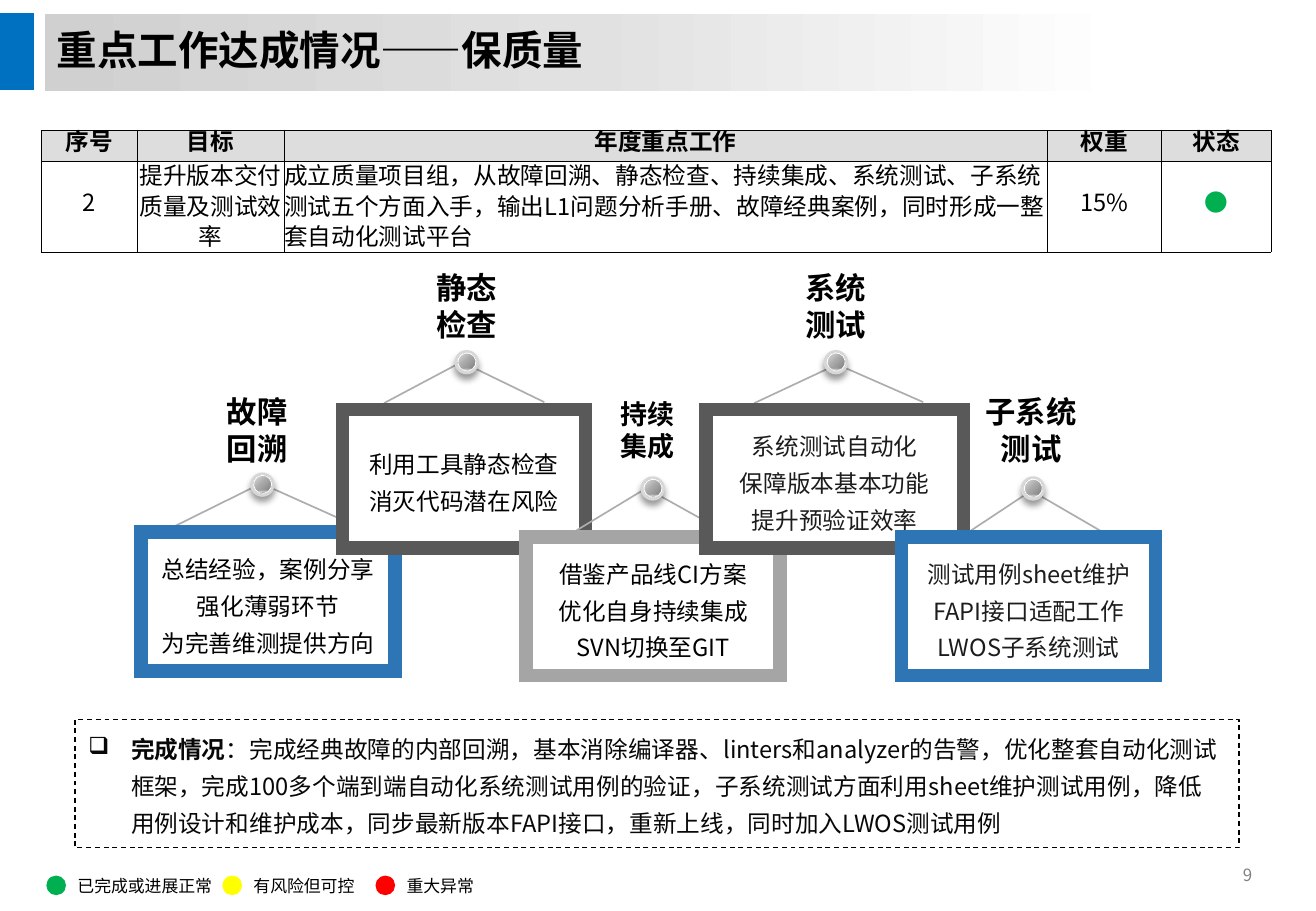
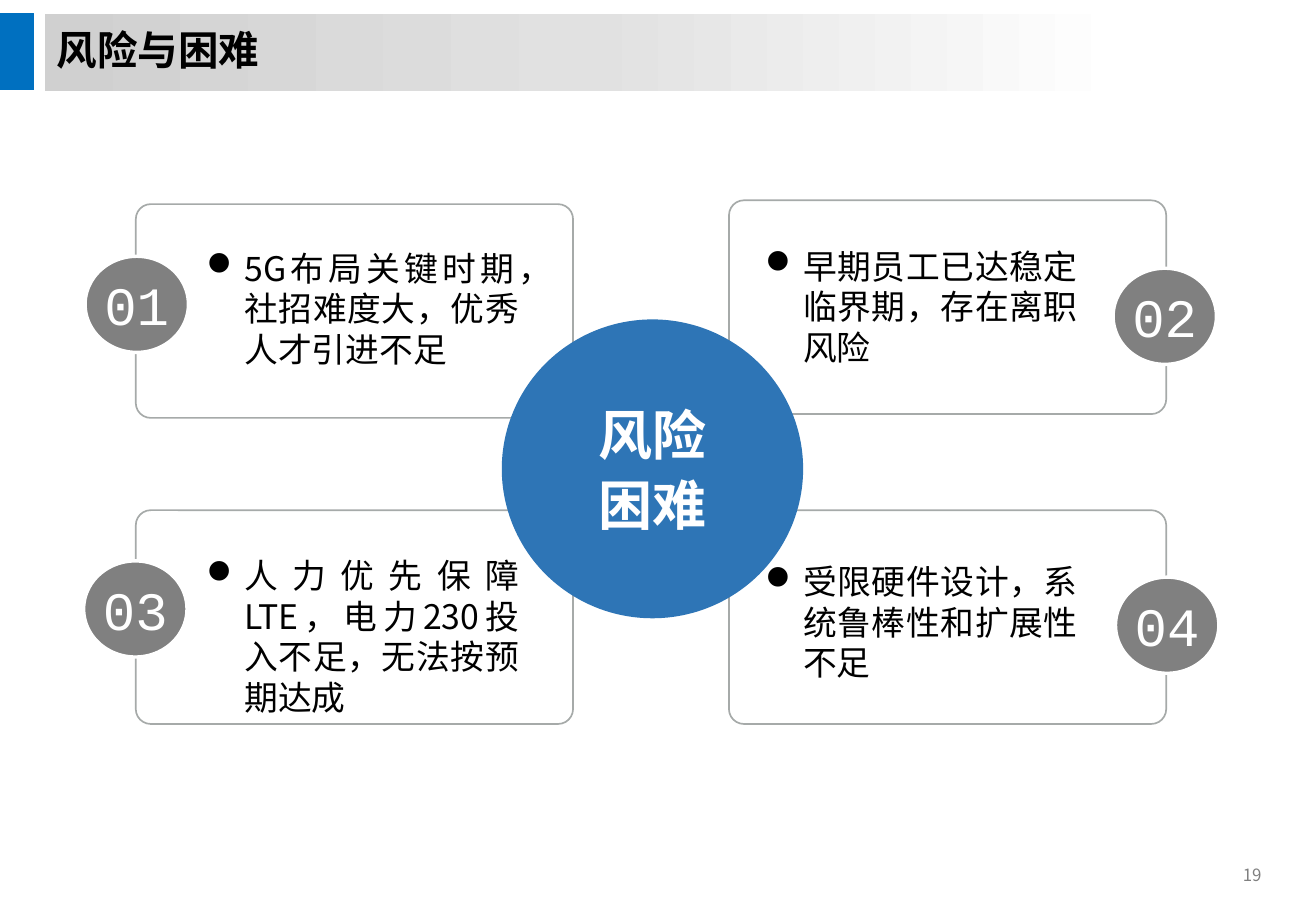
from dataclasses import dataclass, replace
from typing import NamedTuple, Optional, Union

import lxml.etree
import pptx
import pptx.dml.color
import pptx.enum.shapes
import pptx.enum.text
import pptx.oxml.ns
import pptx.util

Cm = pptx.util.Cm
Pt = pptx.util.Pt
qn = pptx.oxml.ns.qn
SHAPE = pptx.enum.shapes.MSO_SHAPE
ALIGN = pptx.enum.text.PP_ALIGN
ANCHOR = pptx.enum.text.MSO_ANCHOR


# Theme
@dataclass(frozen=True)
class Theme:
    font: str = "Noto Sans CJK SC"
    number_font: str = "Courier New"
    black: str = "000000"
    ink: str = "1C1C1C"
    note: str = "080808"
    white: str = "FFFFFF"
    tab: str = "0070C0"
    blue: str = "2E75B6"
    dark: str = "595959"
    silver: str = "A5A5A5"
    grey: str = "808080"
    wire: str = "ADADAD"
    nail: str = "D7D7D7"
    card: str = "A6AAA9"
    header: str = "DDDDDD"
    green: str = "00B050"
    yellow: str = "FFFF00"
    red: str = "FF0000"
    small: int = 10
    body: int = 14
    label: int = 18
    point: int = 20
    title: int = 24
    display: int = 32


T = Theme()


@dataclass(frozen=True)
class Style:
    size: int = T.body
    color: str = T.black
    bold: bool = False
    font: str = T.font
    align: ALIGN = ALIGN.LEFT
    anchor: ANCHOR = ANCHOR.TOP
    spacing: Optional[Union[float, pptx.util.Length]] = None
    gap: int = 0
    insets: tuple[float, float] = (0.25, 0.13)
    wrap: bool = True
    bullet: str = ""
    indent: float = 0


class Box(NamedTuple):
    x: float
    y: float
    w: float
    h: float


class Gradient(NamedTuple):
    stops: list[tuple[int, str, int]]  # position %, colour, opacity %
    angle: int = 0
    kind: str = ""
    focus: tuple[int, int, int, int] = (0, 0, 0, 0)


class NailLayer(NamedTuple):
    box: Box
    rotation: float
    gradient: Gradient
    line: Optional[str] = None


class Frame(NamedTuple):
    label: str
    label_box: Box
    label_size: int
    nail: tuple[float, float]
    wire: list[tuple[float, float]]
    box: Box
    color: str
    ink: str
    lines: list[str]


class Card(NamedTuple):
    number: str
    text: str
    corner: tuple[float, float]
    text_at: tuple[float, float]
    badge_at: tuple[float, float]


# Drawing helpers
def rgb(value: str) -> pptx.dml.color.RGBColor:
    return pptx.dml.color.RGBColor.from_string(value)


def sub(parent, tag: str, **attrs):
    return lxml.etree.SubElement(parent, qn(tag), {k: str(v) for k, v in attrs.items()})


def set_gradient(sp, g: Gradient) -> None:
    sp.fill.background()
    sp_pr = sp._element.spPr
    grad = sub(sp_pr, "a:gradFill", rotWithShape=1)
    stops = sub(grad, "a:gsLst")
    for pos, color, opacity in g.stops:
        clr = sub(sub(stops, "a:gs", pos=pos * 1000), "a:srgbClr", val=color)
        if opacity < 100:
            sub(clr, "a:alpha", val=opacity * 1000)
    if g.kind:
        area = sub(grad, "a:path", path=g.kind)
        sub(area, "a:fillToRect", **{k: v * 1000 for k, v in zip("ltrb", g.focus)})
    else:
        sub(grad, "a:lin", ang=g.angle * 60000, scaled=0)
    sp_pr.replace(sp_pr.find(qn("a:noFill")), grad)


def paint(sp, fill: Union[str, Gradient, None], line: Optional[str], width: float) -> None:
    sp.shadow.inherit = False
    if isinstance(fill, Gradient):
        set_gradient(sp, fill)
    elif fill:
        sp.fill.solid()
        sp.fill.fore_color.rgb = rgb(fill)
    else:
        sp.fill.background()
    if line:
        sp.line.color.rgb = rgb(line)
        sp.line.width = Pt(width)
    else:
        sp.line.fill.background()


def add_shape(slide, kind: SHAPE, box: Box, fill: Union[str, Gradient, None] = None,
              line: Optional[str] = None, width: float = 1):
    sp = slide.shapes.add_shape(kind, *map(Cm, box))
    paint(sp, fill, line, width)
    return sp


def write(tf, paragraphs: list, st: Style) -> None:
    """Each paragraph is a string or a list of (text, bold) runs."""
    for i, content in enumerate(paragraphs):
        p = tf.paragraphs[0] if i == 0 else tf.add_paragraph()
        p.alignment = st.align
        if st.spacing:
            p.line_spacing = st.spacing
        if i and st.gap:
            p.space_before = Pt(st.gap)
        if st.bullet:
            p_pr = p._p.get_or_add_pPr()
            p_pr.set("marL", str(Cm(st.indent)))
            p_pr.set("indent", str(-Cm(st.indent)))
            sub(p_pr, "a:buFont", typeface="Wingdings")
            sub(p_pr, "a:buChar", char=st.bullet)
        p.font.size, p.font.name = Pt(st.size), st.font
        p.font.color.rgb = rgb(st.color)
        if isinstance(content, str):
            p.font.bold = st.bold
            content = [(content, None)]
        sub(p._p.pPr.find(qn("a:defRPr")), "a:ea", typeface=st.font)
        for text, bold in content:
            r = p.add_run()
            r.text = text
            if bold is not None:
                r.font.bold = bold


def fill_text(sp, paragraphs: list, st: Style) -> None:
    tf = sp.text_frame
    tf.word_wrap, tf.vertical_anchor = st.wrap, st.anchor
    tf.margin_left = tf.margin_right = Cm(st.insets[0])
    tf.margin_top = tf.margin_bottom = Cm(st.insets[1])
    write(tf, paragraphs, st)


def add_text(slide, box: Box, paragraphs: list, st: Style) -> None:
    fill_text(slide.shapes.add_textbox(*map(Cm, box)), paragraphs, st)


CENTER = Style(align=ALIGN.CENTER, anchor=ANCHOR.MIDDLE)
SMALL = Style(size=T.small, wrap=False)


# Shared title band, tab and page number
def new_slide(prs, title: str, number: int):
    slide = prs.slides.add_slide(prs.slide_layouts[6])
    add_text(slide, Box(25.73, 17.96, 0.99, 0.69), [str(number)], replace(SMALL, color=T.grey))
    add_shape(slide, SHAPE.RECTANGLE, Box(-0.08, 0.28, 0.79, 1.6), T.tab, T.tab, 0.75)
    band = Gradient([(0, "D0D0D0", 100), (50, "E1E1E1", 100), (100, T.white, 100)])
    sp = add_shape(slide, SHAPE.RECTANGLE, Box(0.94, 0.3, 22.63, 1.6), band)
    fill_text(sp, [title], Style(T.title, bold=True, anchor=ANCHOR.MIDDLE, spacing=0.9))
    return slide


# Quality slide
def add_goal_table(slide) -> None:
    widths, heights = [2.01, 3.07, 15.95, 2.39, 2.29], [0.65, 1.9]
    rows = [["序号", "目标", "年度重点工作", "权重", "状态"],
            ["2", "提升版本交付质量及测试效率",
             "成立质量项目组，从故障回溯、静态检查、持续集成、系统测试、子系统测试五个方面入手，"
             "输出L1问题分析手册、故障经典案例，同时形成一整套自动化测试平台", "15%", "●"]]
    table = slide.shapes.add_table(2, 5, Cm(0.86), Cm(2.72), Cm(sum(widths)), Cm(sum(heights))).table
    table.first_row = table.horz_banding = False
    for col, w in zip(table.columns, widths):
        col.width = Cm(w)
    for i, (row, h) in enumerate(zip(rows, heights)):
        table.rows[i].height = Cm(h)
        for j, text in enumerate(row):
            cell = table.cell(i, j)
            cell.margin_left = cell.margin_right = cell.margin_top = cell.margin_bottom = 0
            cell.vertical_anchor = ANCHOR.MIDDLE
            tc_pr = cell._tc.get_or_add_tcPr()
            for side in "LRTB":
                ln = sub(tc_pr, f"a:ln{side}", w=Pt(0.25))
                sub(sub(ln, "a:solidFill"), "a:srgbClr", val=T.black)
            if i == 0:
                cell.fill.solid()
                cell.fill.fore_color.rgb = rgb(T.header)
            else:
                cell.fill.background()
            write(cell.text_frame, [text], Style(
                bold=i == 0, color=T.green if text == "●" else T.black,
                align=ALIGN.LEFT if i and j == 2 else ALIGN.CENTER,
                spacing=Pt(18 if i and j in (1, 2) else 14)))


NAIL_LAYERS = [
    NailLayer(Box(0.07, 0.06, 0.38, 0.38), 21.1, Gradient(
        [(0, "F2F2F2", 100), (47, "A9A9A9", 100), (82, "828282", 100)],
        kind="circle", focus=(0, 0, 100, 100)), T.white),
    NailLayer(Box(0.15, 0.36, 0.23, 0.08), 356.5, Gradient(
        [(0, T.white, 55), (50, T.nail, 12), (100, T.white, 0)],
        kind="shape", focus=(50, 50, 50, 50))),
    NailLayer(Box(0.18, 0.07, 0.2, 0.13), 36.3, Gradient(
        [(0, T.white, 0), (16, T.white, 51), (30, T.white, 0)], angle=45)),
]


def add_nail(slide, x: float, y: float) -> None:
    sp = add_shape(slide, SHAPE.OVAL, Box(x, y, 0.51, 0.51), T.nail)
    shadow = sub(sp._element.spPr.find(qn("a:effectLst")), "a:outerShdw",
                 blurRad=Pt(4), dist=Pt(3), dir=90 * 60000, algn="t", rotWithShape=0)
    sub(sub(shadow, "a:srgbClr", val=T.black), "a:alpha", val=40000)
    for layer in NAIL_LAYERS:
        box = layer.box._replace(x=x + layer.box.x, y=y + layer.box.y)
        add_shape(slide, SHAPE.OVAL, box, layer.gradient, layer.line, 0.5).rotation = layer.rotation


def add_frame(slide, f: Frame) -> None:
    start, *rest = [(Cm(x), Cm(y)) for x, y in f.wire]
    builder = slide.shapes.build_freeform(*start)
    builder.add_line_segments(rest, close=False)
    paint(builder.convert_to_shape(), None, T.wire, 1)
    add_nail(slide, *f.nail)
    sp = add_shape(slide, SHAPE.RECTANGLE, f.box, T.white, f.color, 8)
    sub(sp.line._get_or_add_ln(), "a:miter", lim=800000)
    fill_text(sp, f.lines, replace(CENTER, color=f.ink, spacing=1.3, insets=(0.4, 0.2)))
    add_text(slide, f.label_box, [f.label], replace(CENTER, size=f.label_size, bold=True))


FRAMES = [
    Frame("故障回溯", Box(4.42, 8.38, 1.91, 1.22), T.label, (5.23, 9.88),
          [(3.56, 11.05), (5.46, 10.11), (7.49, 11.02)], Box(2.95, 11.13, 5.31, 2.9),
          T.blue, T.black, ["总结经验，案例分享", "强化薄弱环节", "为完善维测提供方向"]),
    Frame("静态检查", Box(8.74, 5.79, 2.03, 1.22), T.label, (9.5, 7.32),
          [(8.03, 8.43), (9.65, 7.57), (11.38, 8.41)], Box(7.16, 8.56, 5.08, 2.9),
          T.dark, T.black, ["利用工具静态检查", "消灭代码潜在风险"]),
    Frame("持续集成", Box(12.65, 8.38, 1.78, 1.22), 16, (13.39, 9.96),
          [(11.99, 11.13), (13.51, 10.21), (15.11, 11.1)], Box(11, 11.23, 5.31, 2.9),
          T.silver, T.black, ["借鉴产品线CI方案", "优化自身持续集成", "SVN切换至GIT"]),
    Frame("系统测试", Box(16.51, 5.79, 1.93, 1.22), T.label, (17.22, 7.32),
          [(15.77, 8.43), (17.5, 7.62), (19.3, 8.41)], Box(14.76, 8.56, 5.38, 2.9),
          T.dark, T.ink, ["系统测试自动化", "保障版本基本功能", "提升预验证效率"]),
    Frame("子系统测试", Box(20.33, 8.38, 2.45, 1.22), T.label, (21.34, 9.96),
          [(20.14, 11.2), (21.56, 10.26), (23.09, 11.15)], Box(18.85, 11.23, 5.31, 2.9),
          T.blue, T.ink, ["测试用例sheet维护", "FAPI接口适配工作", "LWOS子系统测试"]),
]
LEGEND = [(0.97, T.green, "已完成或进展正常"), (4.65, T.yellow, "有风险但可控"),
          (7.85, T.red, "重大异常")]
SUMMARY = [("完成情况", True),
           ("：完成经典故障的内部回溯，基本消除编译器、linters和analyzer的告警，优化整套自动化测试框架，"
            "完成100多个端到端自动化系统测试用例的验证，子系统测试方面利用sheet维护测试用例，"
            "降低用例设计和维护成本，同步最新版本FAPI接口，重新上线，同时加入LWOS测试用例", False)]


def build_quality(prs) -> None:
    slide = new_slide(prs, "重点工作达成情况——保质量", 9)
    add_goal_table(slide)
    for x, color, text in LEGEND:
        add_shape(slide, SHAPE.OVAL, Box(x, 18.31, 0.41, 0.41), color)
        add_text(slide, Box(x + 0.4, 18.19, 3.35, 0.69), [text], SMALL)
    sp = add_shape(slide, SHAPE.RECTANGLE, Box(1.57, 15.04, 24.33, 2.69), None, T.black, 0.75)
    sub(sp.line._get_or_add_ln(), "a:prstDash", val="dash")
    fill_text(sp, [SUMMARY], Style(color=T.note, spacing=1.3, insets=(0.28, 0.15),
                                   bullet="q", indent=0.89))
    for f in FRAMES:
        add_frame(slide, f)


# Risk slide
CARDS = [
    Card("01", "5G布局关键时期，社招难度大，优秀人才引进不足", (2.84, 4.27), (4.32, 5.18), (1.78, 5.36)),
    Card("02", "早期员工已达稳定临界期，存在离职风险", (15.24, 4.19), (16, 5.13), (23.27, 5.61)),
    Card("03", "人力优先保障LTE，电力230投入不足，无法按预期达成", (2.84, 10.67), (4.32, 11.61), (1.75, 11.73)),
    Card("04", "受限硬件设计，系统鲁棒性和扩展性不足", (15.24, 10.67), (16, 11.73), (23.32, 12.07)),
]


def build_risks(prs) -> None:
    slide = new_slide(prs, "风险与困难", 19)
    for c in CARDS:
        sp = add_shape(slide, SHAPE.ROUNDED_RECTANGLE, Box(*c.corner, 9.14, 4.47), None, T.card)
        sp.adjustments[0] = 0.07
    disc = add_shape(slide, SHAPE.OVAL, Box(10.49, 6.68, 6.3, 6.25), T.blue)
    fill_text(disc, ["风险", "困难"],
              replace(CENTER, size=T.display, color=T.white, bold=True, gap=3))
    for c in CARDS:
        add_text(slide, Box(*c.text_at, 6.53, 2.72), [c.text], Style(
            T.point, align=ALIGN.JUSTIFY, insets=(0, 0), bullet="l", indent=0.79))
        badge = add_shape(slide, SHAPE.OVAL, Box(*c.badge_at, 2.16, 2.01), T.grey, T.white, 2)
        fill_text(badge, [c.number], replace(
            CENTER, size=T.display, color=T.white, font=T.number_font, wrap=False))


def main() -> None:
    prs = pptx.Presentation()
    prs.slide_width, prs.slide_height = Cm(27.51), Cm(19.05)
    build_quality(prs)
    build_risks(prs)
    prs.save("out.pptx")


if __name__ == "__main__":
    main()
